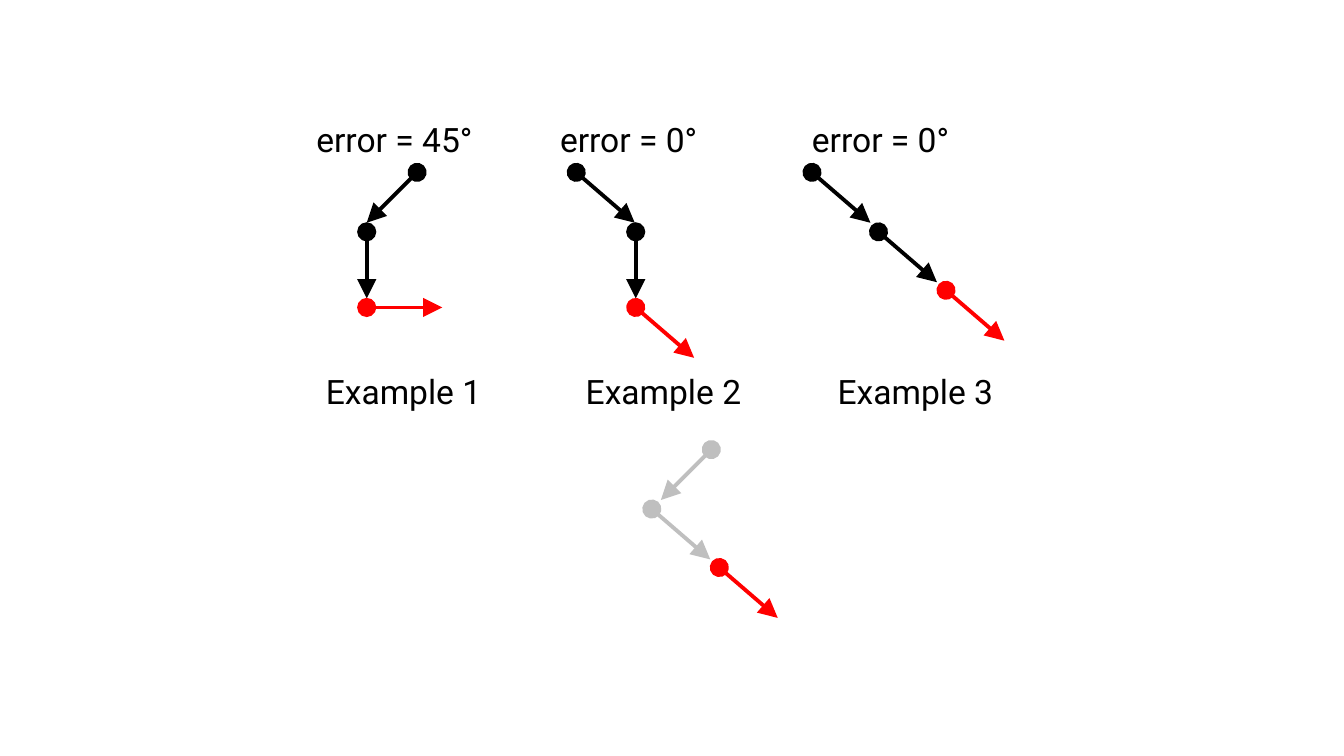
from lxml.etree import SubElement
from pptx import Presentation
from pptx.dml.color import RGBColor
from pptx.enum.shapes import MSO_CONNECTOR
from pptx.enum.text import MSO_ANCHOR, MSO_AUTO_SIZE, PP_ALIGN
from pptx.oxml.ns import qn
from pptx.util import Emu, Pt

SCALE = 9144
BLACK, RED, GREY = "000000", "FF0000", "BFBFBF"
LEFT, DOWN, SLANT, RIGHT = (-50, 50), (0, 66), (58, 50), (75, 0)

ARMS = [
    (BLACK, [(414, 171, LEFT), (364, 230, DOWN), (364, 305, RIGHT)]),
    (BLACK, [(572, 171, SLANT), (631, 230, DOWN), (631, 305, SLANT)]),
    (BLACK, [(806, 171, SLANT), (872, 230, SLANT), (939, 288, SLANT)]),
    (GREY, [(706, 446, LEFT), (647, 505, SLANT), (714, 563, SLANT)]),
]
ERRORS = [("error = 45°", 297, 189), ("error = 0°", 539, 170), ("error = 0°", 789, 170)]
NAMES = [("Example 1", 310, 181), ("Example 2", 568, 181), ("Example 3", 818, 181)]


def px(count):
    return Emu(count * SCALE)


def paint(code):
    return RGBColor.from_string(code)


def add_arrow(slide, x, y, step, code):
    ends = [px(n) for n in (x, y, x + step[0], y + step[1])]
    arrow = slide.shapes.add_connector(MSO_CONNECTOR.STRAIGHT, *ends)
    arrow.line.width = Pt(2.75)
    arrow.line.color.rgb = paint(code)
    props = arrow._element.spPr
    line = props.find(qn("a:ln"))
    for tag, kind in (("a:headEnd", "oval"), ("a:tailEnd", "triangle")):
        SubElement(line, qn(tag), type=kind, w="lg", len="lg")
    SubElement(props, qn("a:effectLst"))


def add_arm(slide, code, links):
    for (x, y, step), shade in zip(links, (code, code, RED)):
        add_arrow(slide, x, y, step, shade)


def add_label(slide, text, left, top, width):
    box = slide.shapes.add_textbox(px(left), px(top), px(width), px(50))
    frame = box.text_frame
    frame.text = text
    frame.word_wrap = False
    frame.auto_size = MSO_AUTO_SIZE.SHAPE_TO_FIT_TEXT
    frame.vertical_anchor = MSO_ANCHOR.TOP
    line = frame.paragraphs[0]
    line.alignment = PP_ALIGN.CENTER
    font = line.runs[0].font
    font.name = "Roboto"
    font.size = Pt(24)
    font.color.rgb = paint(BLACK)


def main():
    deck = Presentation()
    deck.slide_width, deck.slide_height = px(1334), px(750)
    slide = deck.slides.add_slide(deck.slide_layouts[6])
    for code, links in ARMS:
        add_arm(slide, code, links)
    for top, labels in ((113, ERRORS), (363, NAMES)):
        for text, left, width in labels:
            add_label(slide, text, left, top, width)
    deck.save("out.pptx")


if __name__ == "__main__":
    main()
